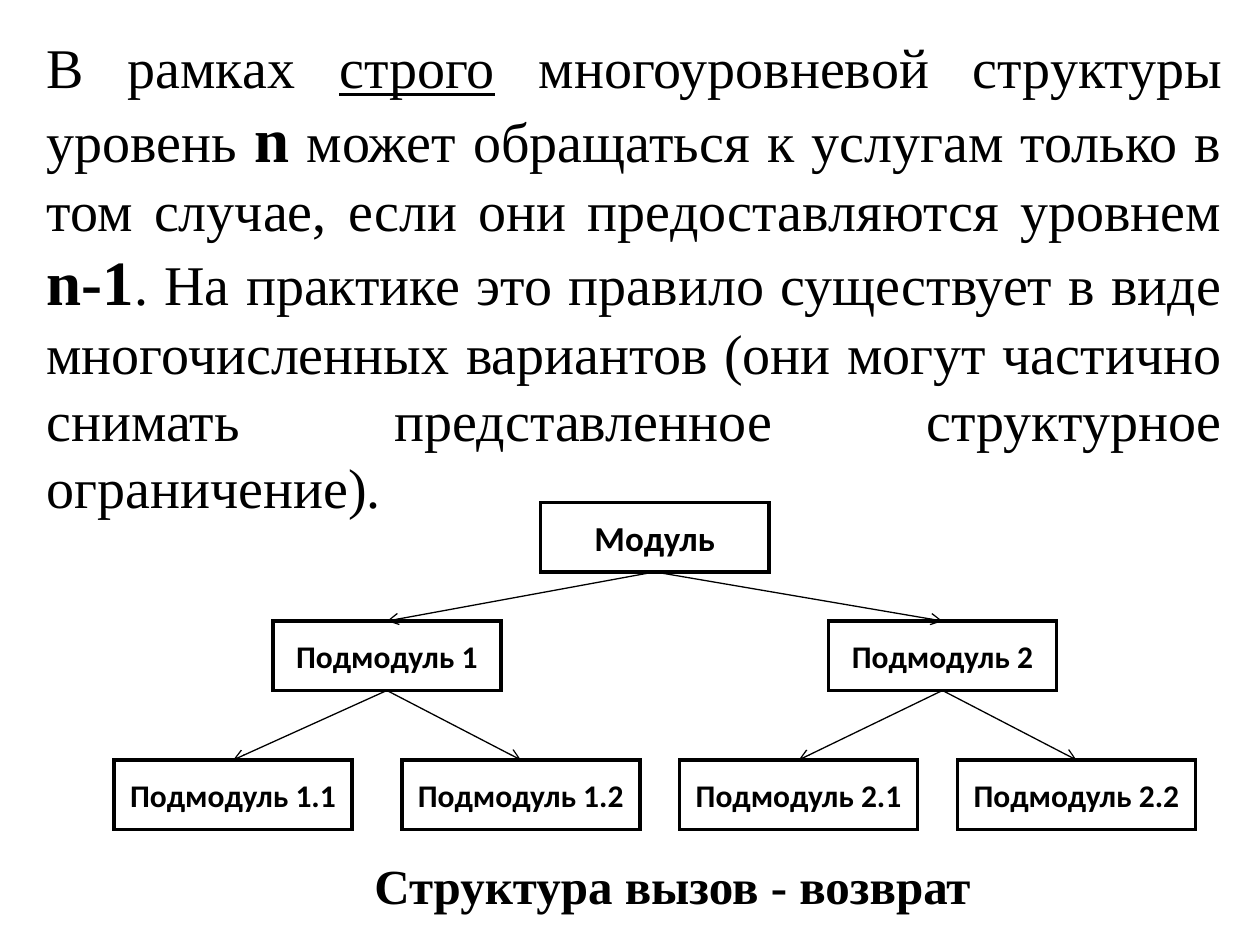
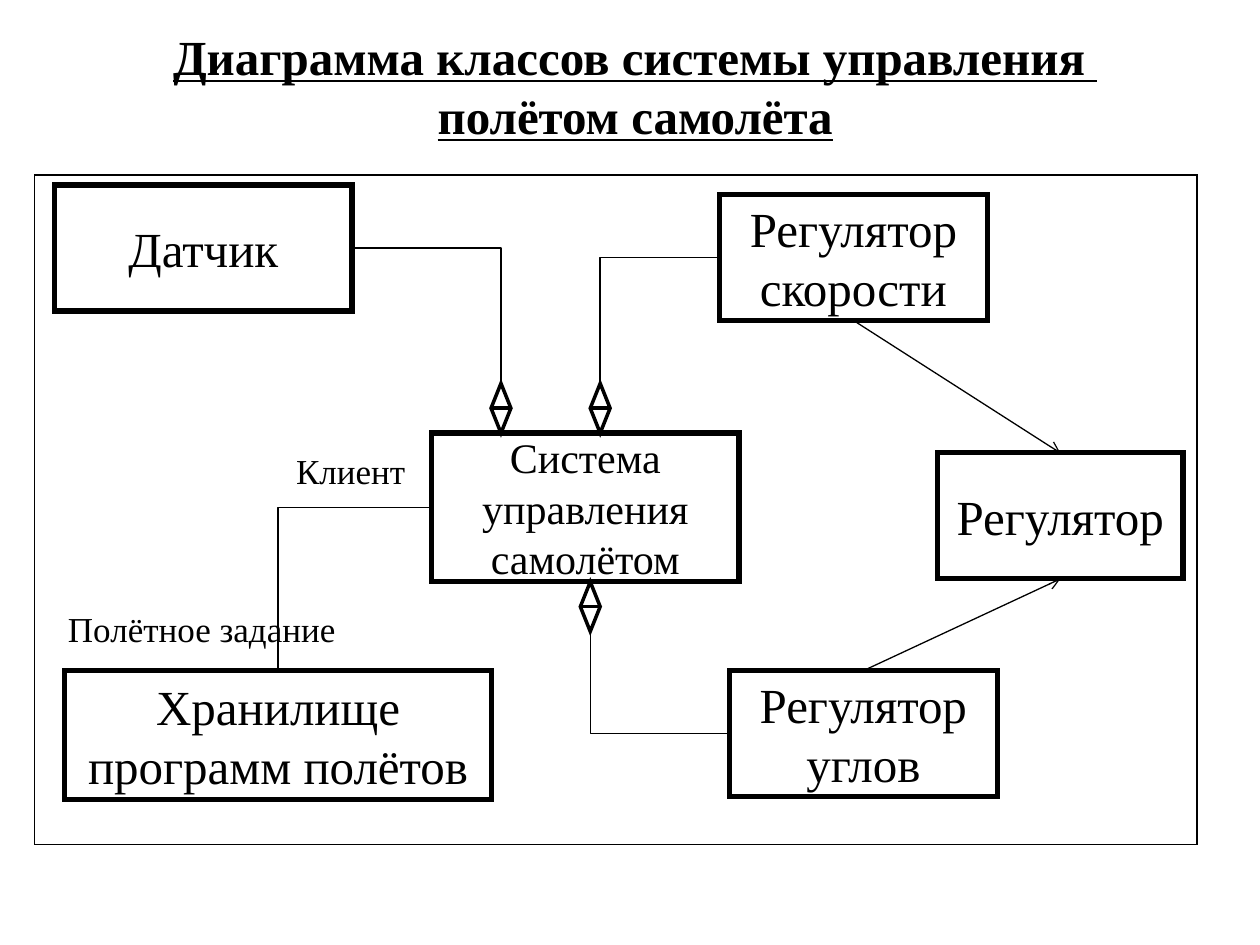
import pptx
import pptx.dml.color
import pptx.enum.shapes
import pptx.enum.text
import pptx.oxml.ns
import pptx.util
from lxml import etree

Cm = pptx.util.Cm
Pt = pptx.util.Pt
MSO_SHAPE = pptx.enum.shapes.MSO_SHAPE
MSO_CONNECTOR = pptx.enum.shapes.MSO_CONNECTOR
PP_ALIGN = pptx.enum.text.PP_ALIGN
MSO_ANCHOR = pptx.enum.text.MSO_ANCHOR
MSO_AUTO_SIZE = pptx.enum.text.MSO_AUTO_SIZE
qn = pptx.oxml.ns.qn

BLACK = pptx.dml.color.RGBColor(0, 0, 0)
WHITE = pptx.dml.color.RGBColor(255, 255, 255)
SERIF = "Times New Roman"
SANS = "Calibri"
TOP, LEFT, BOTTOM, RIGHT = range(4)


def style_font(font, size, name=SERIF, bold=False, underline=False):
    """Set the face, size, weight and colour of a font."""
    font.name = name
    font.size = Pt(size)
    font.bold = bold
    font.underline = underline
    font.color.rgb = BLACK


def add_blank_slide(prs):
    """Add a blank slide with a white background."""
    s = prs.slides.add_slide(prs.slide_layouts[6])
    s.background.fill.solid()
    s.background.fill.fore_color.rgb = WHITE
    return s


def add_outline(s, kind, left, top, width, height, weight):
    """Add a white preset shape with a sharp-cornered black outline."""
    sp = s.shapes.add_shape(kind, Cm(left), Cm(top), Cm(width), Cm(height))
    sp.shadow.inherit = False
    sp.fill.solid()
    sp.fill.fore_color.rgb = WHITE
    sp.line.color.rgb = BLACK
    sp.line.width = Pt(weight)
    etree.SubElement(sp.line._get_or_add_ln(), qn("a:miter"), lim="800000")
    return sp


def add_box(s, lines, left, top, width, height, weight, size, **font):
    """Add an outlined rectangle with centred lines of text."""
    sp = add_outline(s, MSO_SHAPE.RECTANGLE, left, top, width, height, weight)
    tf = sp.text_frame
    tf.word_wrap = True
    tf.vertical_anchor = MSO_ANCHOR.MIDDLE
    tf.text = lines
    for p in tf.paragraphs:
        p.alignment = PP_ALIGN.CENTER
        style_font(p.font, size, **font)
    return sp


def add_text(s, text, left, top, width, height, size, **font):
    """Add a text box holding one paragraph and return its frame."""
    sp = s.shapes.add_textbox(Cm(left), Cm(top), Cm(width), Cm(height))
    tf = sp.text_frame
    tf.word_wrap = True
    p = tf.paragraphs[0]
    p.text = text
    style_font(p.font, size, **font)
    return tf


def add_label(s, text, left, top, width, height, size, **font):
    """Add a text box that grows with its text."""
    tf = add_text(s, text, left, top, width, height, size, **font)
    tf.auto_size = MSO_AUTO_SIZE.SHAPE_TO_FIT_TEXT


def connect(s, source, source_side, target, target_side, kind=MSO_CONNECTOR.STRAIGHT):
    """Join two shapes with a thin black connector."""
    cxn = s.shapes.add_connector(kind, 0, 0, 0, 0)
    cxn.begin_connect(source, source_side)
    cxn.end_connect(target, target_side)
    cxn.line.color.rgb = BLACK
    cxn.line.width = Pt(0.75)
    etree.SubElement(cxn._element.spPr, qn("a:effectLst"))
    return cxn


def add_arrow(s, source, source_side, target, target_side):
    """Join two shapes with a straight open arrow."""
    cxn = connect(s, source, source_side, target, target_side)
    etree.SubElement(cxn.line._get_or_add_ln(), qn("a:tailEnd"), type="arrow")


def add_elbow(s, source, source_side, target, target_side):
    """Join two shapes with a line that turns one corner."""
    cxn = connect(s, source, source_side, target, target_side, MSO_CONNECTOR.ELBOW)
    cxn._element.spPr.find(qn("a:prstGeom")).set("prst", "bentConnector2")


def add_rule_text(s):
    """Add the justified paragraph about strict layering."""
    tf = add_text(s, "", 0.69, 0.53, 24.21, 18.01, 32)
    p = tf.paragraphs[0]
    p.alignment = PP_ALIGN.JUSTIFY
    for text, size, bold, underline in (
        ("В рамках ", 32, False, False),
        ("строго", 32, False, True),
        (" многоуровневой структуры уровень ", 32, False, False),
        ("n", 36, True, False),
        (" может обращаться к услугам только в том случае, если они "
         "предоставляются уровнем ", 32, False, False),
        ("n-1", 36, True, False),
        (". На практике это правило существует в виде многочисленных вариантов "
         "(они могут частично снимать представленное структурное ограничение).",
         32, False, False),
    ):
        r = p.add_run()
        r.text = text
        style_font(r.font, size, bold=bold, underline=underline)


def add_module(s, name, left, top, width, size=18):
    """Add one box of the module tree."""
    return add_box(s, name, left, top, width, 1.4, 2, size, name=SANS, bold=True)


def build_call_return(prs):
    """Build the slide with the call and return tree."""
    s = add_blank_slide(prs)
    add_rule_text(s)
    root = add_module(s, "Модуль", 10.9, 10.13, 4.6, size=20)
    branches = ((1, 5.5, (2.3, 8.1)), (2, 16.7, (13.7, 19.3)))
    for number, left, leaf_lefts in branches:
        branch = add_module(s, f"Подмодуль {number}", left, 12.52, 4.6)
        add_arrow(s, root, BOTTOM, branch, TOP)
        for i, leaf_left in enumerate(leaf_lefts, 1):
            leaf = add_module(s, f"Подмодуль {number}.{i}", leaf_left, 15.32, 4.8)
            add_arrow(s, branch, BOTTOM, leaf, TOP)
    add_label(s, "Структура вызов - возврат", 7.3, 17.13, 13.46, 1.45, 28, bold=True)


def add_class(s, name, left, top, width, height=2.54, size=28):
    """Add one class box of the flight control diagram."""
    return add_box(s, name, left, top, width, height, 3, size)


def build_class_diagram(prs):
    """Build the slide with the flight control class diagram."""
    s = add_blank_slide(prs)
    add_outline(s, MSO_SHAPE.RECTANGLE, 0.69, 3.53, 23.44, 13.49, 0.75)
    title = add_text(s, "Диаграмма классов системы управления \vполётом самолёта",
                     1.3, 0.53, 23.01, 2.39, 28, bold=True, underline=True)
    title.vertical_anchor = MSO_ANCHOR.MIDDLE
    title.paragraphs[0].alignment = PP_ALIGN.CENTER

    system = add_class(s, "Система управления\nсамолётом", 8.7, 8.73, 6.2, 3, 24)
    sensor = add_class(s, "Датчик", 1.1, 3.73, 6)
    speed = add_class(s, "Регулятор\nскорости", 14.5, 3.92, 5.41)
    angles = add_class(s, "Регулятор\nуглов", 14.7, 13.52, 5.41)
    regulator = add_class(s, "Регулятор", 18.9, 9.13, 4.95)
    store = add_class(s, "Хранилище программ полётов", 1.3, 13.52, 8.61, 2.6)

    add_arrow(s, speed, BOTTOM, regulator, TOP)
    add_arrow(s, angles, TOP, regulator, BOTTOM)
    add_elbow(s, system, LEFT, store, TOP)
    for part, part_side, left, top, diamond_side in (
        (speed, LEFT, 11.9, 7.73, TOP),
        (angles, LEFT, 11.7, 11.73, BOTTOM),
        (sensor, RIGHT, 9.9, 7.73, TOP),
    ):
        diamond = add_outline(s, MSO_SHAPE.FLOWCHART_SORT, left, top, 0.4, 1, 2)
        add_elbow(s, part, part_side, diamond, diamond_side)

    add_label(s, "Клиент", 5.72, 8.93, 3, 1.12, 20)
    add_label(s, "Полётное задание", 1.12, 12.13, 6.3, 1.12, 20)


def main():
    """Build and save the presentation."""
    prs = pptx.Presentation()
    prs.slide_width = Cm(25.4)
    prs.slide_height = Cm(19.05)
    build_call_return(prs)
    build_class_diagram(prs)
    prs.save("out.pptx")


if __name__ == "__main__":
    main()
